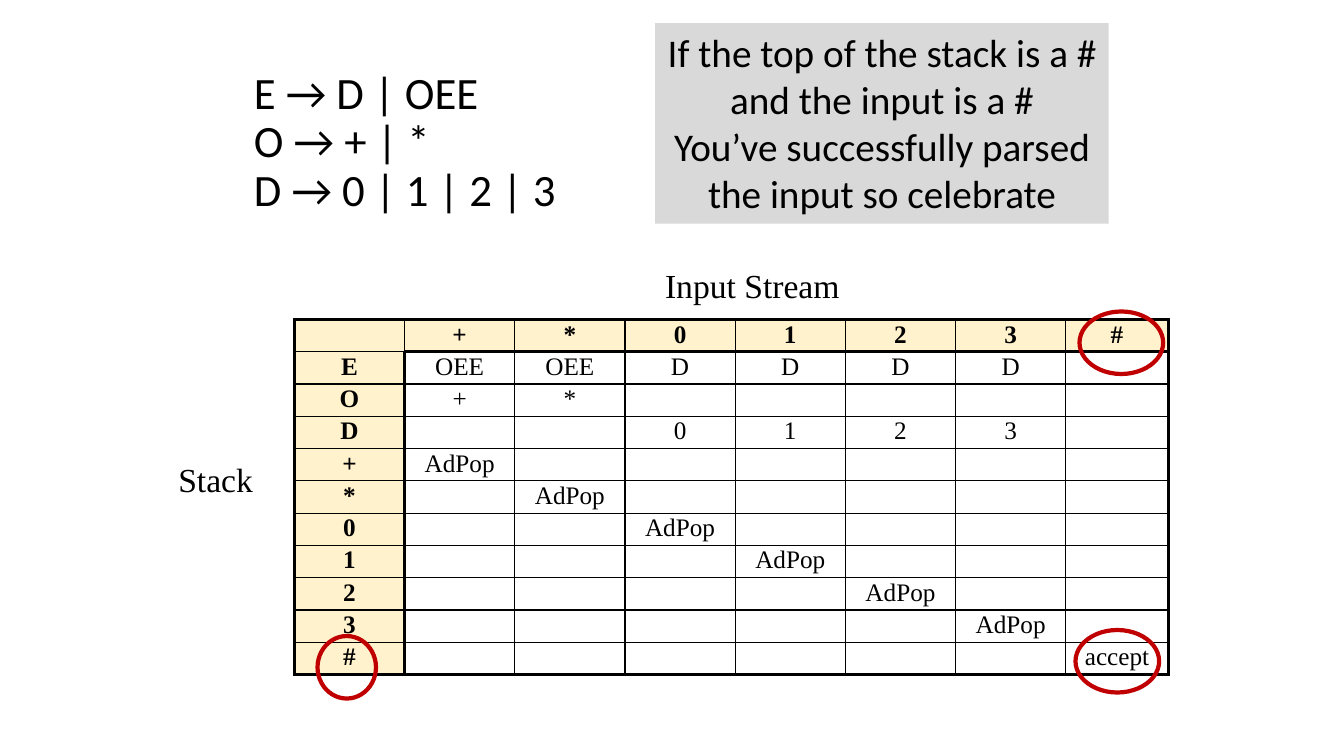
from collections import namedtuple
from dataclasses import dataclass

from lxml import etree
from pptx import Presentation
from pptx.dml.color import RGBColor
from pptx.enum.shapes import MSO_SHAPE
from pptx.enum.text import MSO_ANCHOR, MSO_AUTO_SIZE, PP_ALIGN
from pptx.oxml.ns import qn
from pptx.util import Pt

RECTANGLE, ELLIPSE = MSO_SHAPE.RECTANGLE, MSO_SHAPE.OVAL
MIDDLE, TOP = MSO_ANCHOR.MIDDLE, MSO_ANCHOR.TOP
LEFT, CENTER = PP_ALIGN.LEFT, PP_ALIGN.CENTER
GROW = MSO_AUTO_SIZE.SHAPE_TO_FIT_TEXT

Box = namedtuple("Box", "left top width height")


@dataclass(frozen=True)
class Theme:
    text: str = "000000"
    header_fill: str = "FFF2CC"
    note_fill: str = "D9D9D9"
    highlight: str = "C00000"
    sans: str = "Calibri"
    serif: str = "Times New Roman"
    grammar_size: float = 32
    note_size: float = 28
    label_size: float = 24
    cell_size: float = 18
    thin: float = 1
    thick: float = 2.25
    ring: float = 3


THEME = Theme()

GRAMMAR = ["E → D | OEE", "O → + | *", "D → 0 | 1 | 2 | 3"]
NOTE = [
    "If the top of the stack is a #",
    "and the input is a #",
    "You’ve successfully parsed",
    "the input so celebrate",
]
INPUTS = ["+", "*", "0", "1", "2", "3", "#"]
STACK = ["E", "O", "D"] + INPUTS

# Parser actions by (top of stack, input symbol)
ACTIONS = {("E", symbol): "OEE" for symbol in "+*"}
ACTIONS |= {("E", digit): "D" for digit in "0123"}
ACTIONS |= {("O", symbol): symbol for symbol in "+*"}
ACTIONS |= {("D", digit): digit for digit in "0123"}
ACTIONS |= {(symbol, symbol): "AdPop" for symbol in INPUTS}
ACTIONS["#", "#"] = "accept"


def in_points(box):
    return [Pt(value) for value in box]


def style_paragraph(paragraph, face, size, alignment=LEFT, bold=False):
    paragraph.alignment = alignment
    font = paragraph.font
    font.name, font.size, font.bold = face, Pt(size), bold
    font.color.rgb = RGBColor.from_string(THEME.text)


def add_text(slide, box, text, face, size, anchor=TOP):
    shape = slide.shapes.add_textbox(*in_points(box))
    frame = shape.text_frame
    frame.word_wrap = True
    frame.vertical_anchor = anchor
    paragraph = frame.paragraphs[0]
    paragraph.text = text
    style_paragraph(paragraph, face, size)
    return paragraph


def add_grammar(slide, box):
    paragraph = add_text(slide, box, "\n".join(GRAMMAR), THEME.sans,
                         THEME.grammar_size, MIDDLE)
    paragraph.line_spacing = 0.9


def add_note(slide, box):
    note = slide.shapes.add_shape(RECTANGLE, *in_points(box))
    note.shadow.inherit = False
    note.fill.solid()
    note.fill.fore_color.rgb = RGBColor.from_string(THEME.note_fill)
    note.line.fill.background()
    frame = note.text_frame
    frame.text = "\n".join(NOTE)
    frame.word_wrap = False
    frame.auto_size = GROW
    frame.vertical_anchor = TOP
    for paragraph in frame.paragraphs:
        style_paragraph(paragraph, THEME.sans, THEME.note_size, CENTER)


def set_borders(cell, widths):
    """Draw the left, right, top and bottom borders, in that order."""
    properties = cell._tc.get_or_add_tcPr()
    for index, (side, width) in enumerate(zip("LRTB", widths)):
        line = etree.Element(qn(f"a:ln{side}"), w=str(Pt(width)))
        fill = etree.SubElement(line, qn("a:solidFill"))
        etree.SubElement(fill, qn("a:srgbClr"), val=THEME.text)
        properties.insert(index, line)


def fill_cell(cell, text, header):
    cell.margin_left = cell.margin_right = Pt(7.2)
    cell.margin_top = cell.margin_bottom = Pt(0.72)
    paragraph = cell.text_frame.paragraphs[0]
    paragraph.text = text
    style_paragraph(paragraph, THEME.serif, THEME.cell_size, CENTER, header)
    if header:
        cell.fill.solid()
        cell.fill.fore_color.rgb = RGBColor.from_string(THEME.header_fill)
    else:
        cell.fill.background()


def add_parse_table(slide, box):
    rows = [[""] + INPUTS]
    rows += [[top] + [ACTIONS.get((top, symbol), "") for symbol in INPUTS]
             for top in STACK]
    row_count, column_count = len(rows), len(rows[0])
    table = slide.shapes.add_table(row_count, column_count,
                                   *in_points(box)).table
    table.first_row = table.horz_banding = False

    # Equal columns, with the last one taking what is left
    column_width = 78.72
    for column in table.columns:
        column.width = Pt(column_width)
    table.columns[column_count - 1].width = Pt(
        box.width - column_width * (column_count - 1))
    for row in table.rows:
        row.height = Pt(box.height / row_count)

    # Thick lines frame the table and part the headers from the actions
    def vertical(row, edge):
        heavy = edge in (0, column_count) or (edge == 1 and row > 0)
        return THEME.thick if heavy else THEME.thin

    def horizontal(edge, column):
        heavy = edge in (0, row_count) or (edge == 1 and column > 0)
        return THEME.thick if heavy else THEME.thin

    for r, values in enumerate(rows):
        for c, value in enumerate(values):
            cell = table.cell(r, c)
            fill_cell(cell, value, header=r == 0 or c == 0)
            set_borders(cell, [vertical(r, c), vertical(r, c + 1),
                               horizontal(r, c), horizontal(r + 1, c)])


def add_axis_labels(slide, box):
    labels = [("Stack", -90, 95.76, 90), ("Input Stream", 257.76, -42.48, 156.24)]
    for text, dx, dy, width in labels:
        add_text(slide, Box(box.left + dx, box.top + dy, width, 36), text,
                 THEME.serif, THEME.label_size)


def add_rings(slide, box):
    # Stack "#", input "#" and the accept cell
    for dx, dy, width in [(16.56, 226.08, 41.76), (560.88, -5.76, 59.76),
                          (558, 221.76, 59.76)]:
        ring_box = Box(box.left + dx, box.top + dy, width, 44.64)
        ring = slide.shapes.add_shape(ELLIPSE, *in_points(ring_box))
        ring.shadow.inherit = False
        ring.fill.background()
        ring.line.color.rgb = RGBColor.from_string(THEME.highlight)
        ring.line.width = Pt(THEME.ring)


def main():
    presentation = Presentation()
    presentation.slide_width, presentation.slide_height = Pt(960), Pt(540)
    slide = presentation.slides.add_slide(presentation.slide_layouts[6])
    table_box = Box(210.24, 228.24, 624.24, 253.44)
    add_grammar(slide, Box(174.24, 30.24, 336.24, 144))
    add_parse_table(slide, table_box)
    add_axis_labels(slide, table_box)
    add_note(slide, Box(468, 16.56, 324, 143.28))
    add_rings(slide, table_box)
    presentation.save("out.pptx")


if __name__ == "__main__":
    main()
